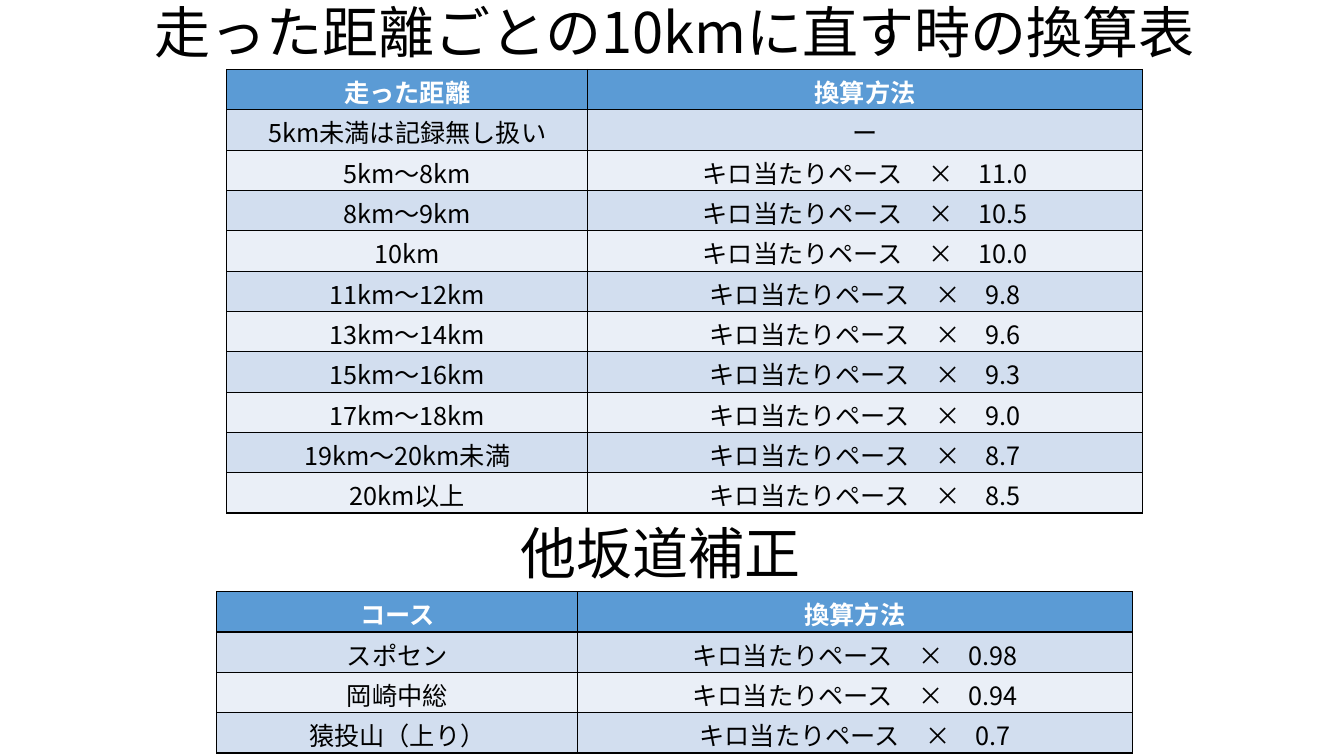
from lxml.etree import SubElement
from pptx import Presentation
from pptx.dml.color import RGBColor
from pptx.enum.text import MSO_ANCHOR, PP_ALIGN
from pptx.oxml.ns import qn
from pptx.util import Inches, Pt

SLIDE_W, SLIDE_H = Inches(13.33), Inches(7.5)
ROW_H = Inches(0.4)
COLUMNS = (Inches(3.58), Inches(5.5))
TITLE_W, TITLE_H = Inches(10.94), Inches(0.77)

FONT = "Noto Sans CJK JP"
BLACK = RGBColor(0x00, 0x00, 0x00)
WHITE = RGBColor(0xFF, 0xFF, 0xFF)
HEADER = RGBColor(0x5B, 0x9B, 0xD5)
BANDS = (RGBColor(0xD2, 0xDE, 0xEF), RGBColor(0xEA, 0xEF, 0xF7))

DISTANCES = [
    ("5km～8km", "11.0"),
    ("8km～9km", "10.5"),
    ("10km", "10.0"),
    ("11km～12km", "9.8"),
    ("13km～14km", "9.6"),
    ("15km～16km", "9.3"),
    ("17km～18km", "9.0"),
    ("19km～20km未満", "8.7"),
    ("20km以上", "8.5"),
]
COURSES = [("スポセン", "0.98"), ("岡崎中総", "0.94"), ("猿投山（上り）", "0.7")]


def pace_rows(factors):
    return [(name, f"キロ当たりペース　×　{factor}") for name, factor in factors]


def write(tf, text, size, color, bold=False):
    p = tf.paragraphs[0]
    p.alignment = PP_ALIGN.CENTER
    r = p.add_run()
    r.text = text
    r.font.size = Pt(size)
    r.font.name = FONT
    r.font.bold = bold
    r.font.color.rgb = color
    SubElement(r.font._element, qn("a:ea"), typeface=FONT)


def add_title(s, left, top, text):
    tf = s.shapes.add_textbox(left, top, TITLE_W, TITLE_H).text_frame
    tf.word_wrap = True
    tf.vertical_anchor = MSO_ANCHOR.MIDDLE
    tf.margin_top = tf.margin_bottom = 0
    write(tf, text, 40, BLACK)


def add_borders(cell):
    """Rule all four sides; must run before the fill, which follows in the XML."""
    for side in ("a:lnL", "a:lnR", "a:lnT", "a:lnB"):
        ln = SubElement(cell._tc.get_or_add_tcPr(), qn(side), w=str(Pt(1)))
        fill = SubElement(ln, qn("a:solidFill"))
        SubElement(fill, qn("a:srgbClr"), val=str(BLACK))


def add_banded_table(s, left, top, rows):
    table = s.shapes.add_table(len(rows), len(COLUMNS), left, top,
                               sum(COLUMNS), ROW_H * len(rows)).table
    for column, width in zip(table.columns, COLUMNS):
        column.width = width
    for i, texts in enumerate(rows):
        table.rows[i].height = ROW_H
        for j, text in enumerate(texts):
            cell = table.cell(i, j)
            cell.margin_top, cell.margin_bottom = Pt(2.7), 0
            cell.vertical_anchor = MSO_ANCHOR.BOTTOM
            add_borders(cell)
            cell.fill.solid()
            cell.fill.fore_color.rgb = BANDS[(i - 1) % 2] if i else HEADER
            write(cell.text_frame, text, 18, BLACK if i else WHITE, bold=i == 0)


def main():
    prs = Presentation()
    prs.slide_width, prs.slide_height = SLIDE_W, SLIDE_H
    s = prs.slides.add_slide(prs.slide_layouts[6])

    add_title(s, Inches(1.22), Inches(-0.08), "走った距離ごとの10kmに直す時の換算表")
    add_banded_table(s, Inches(2.25), Inches(0.69), [
        ("走った距離", "換算方法"),
        ("5km未満は記録無し扱い", "ー"),
        *pace_rows(DISTANCES),
    ])

    add_title(s, Inches(1.08), Inches(5.09), "他坂道補正")
    add_banded_table(s, Inches(2.15), Inches(5.87), [
        ("コース", "換算方法"),
        *pace_rows(COURSES),
    ])
    prs.save("out.pptx")


if __name__ == "__main__":
    main()
